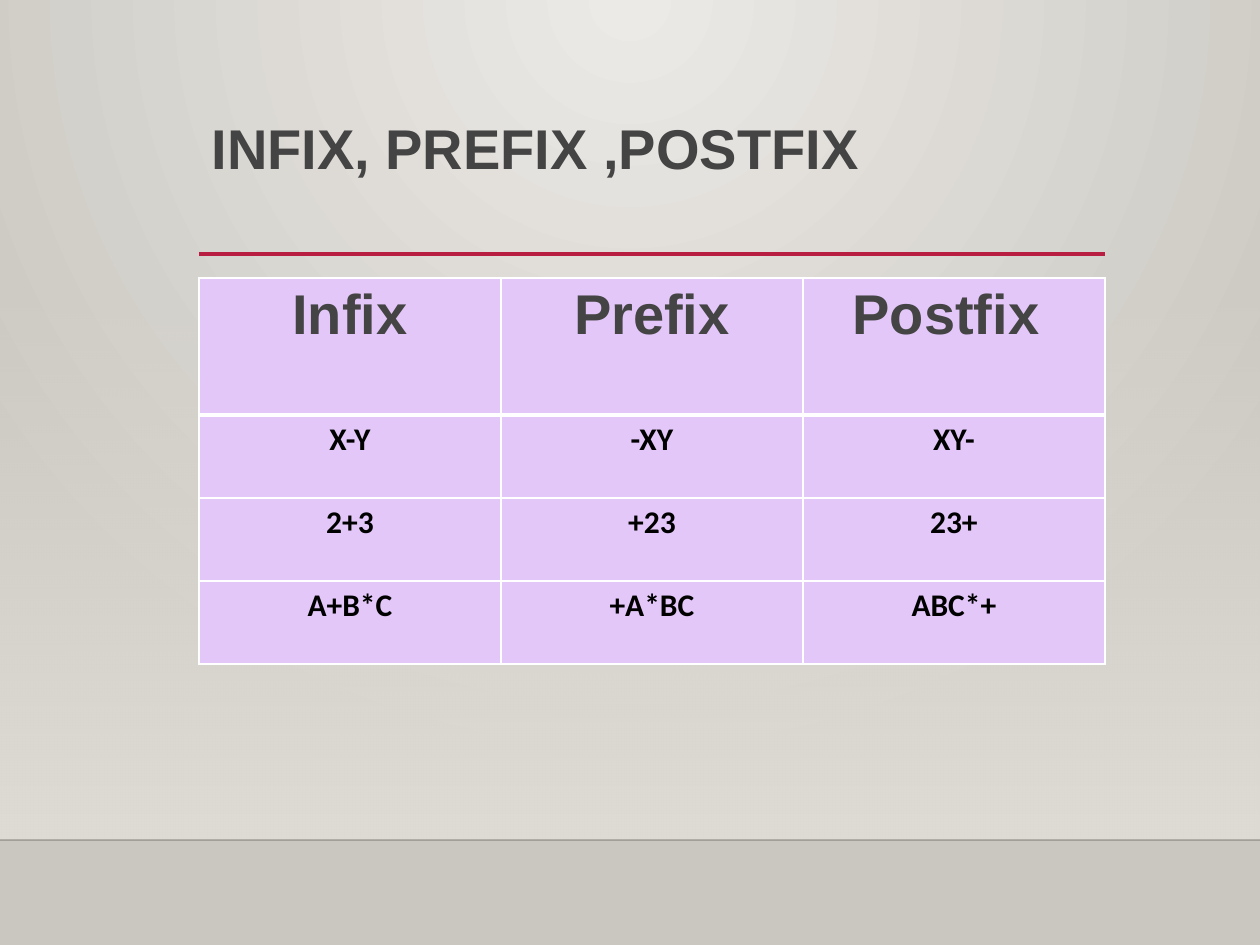
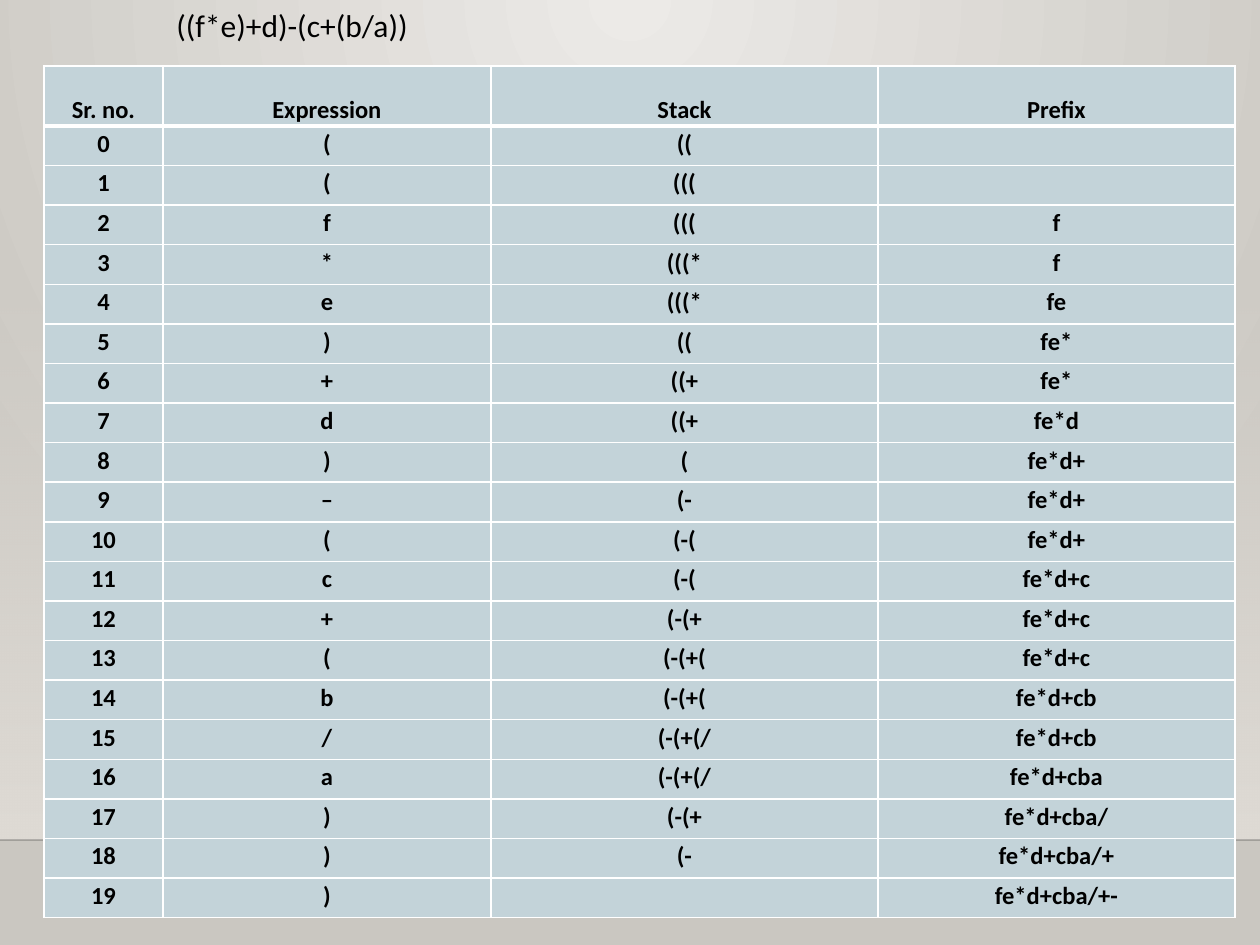
import pptx
import pptx.dml.color
import pptx.enum.shapes
import pptx.enum.text
import pptx.oxml.ns
import pptx.util
from lxml import etree

COLORS = {
    "glow": "ECEAE7", "edge": "CAC7C1", "wall": "DFDBD5", "floor": "000001",
    "rule": "B71E42", "title": "444444", "text": "000000", "border": "FFFFFF",
    "lilac": "E4C7F9", "blue": "C3D3D9",
}
SCALE = 914400 / 126
ALIGN = pptx.enum.text.PP_ALIGN
ANCHOR = pptx.enum.text.MSO_ANCHOR
qn = pptx.oxml.ns.qn


def px(value):
    return pptx.util.Emu(round(value * SCALE))


def rgb(name):
    return pptx.dml.color.RGBColor.from_string(COLORS[name])


def set_alpha(element, percent):
    color = element.find(".//" + qn("a:srgbClr"))
    etree.SubElement(color, qn("a:alpha")).set("val", str(percent * 1000))


class Deck:
    def __init__(self):
        self.prs = pptx.Presentation()
        self.prs.slide_width, self.prs.slide_height = px(1260), px(945)
        self.master = self.prs.slide_master
        self.slide = None

    def new_slide(self, layout):
        self.slide = self.prs.slides.add_slide(self.prs.slide_layouts[layout])

    def gradient(self, fill, parent, first, last):
        fill.gradient()
        for stop, position, name in zip(fill.gradient_stops, (0, 1), (first, last)):
            stop.position = position
            stop.color.rgb = rgb(name)
        return parent.find(".//" + qn("a:gradFill"))

    def background(self):
        grad = self.gradient(self.master.background.fill, self.master._element, "glow", "edge")
        grad.remove(grad.find(qn("a:lin")))
        circle = etree.SubElement(grad, qn("a:path"))
        circle.set("path", "circle")
        focus = etree.SubElement(circle, qn("a:fillToRect"))
        for side, percent in zip("ltrb", (43, 0, 43, 100)):
            focus.set(side, str(percent * 1000))

    def wall(self, x, y, w, h):
        sp = self.slide.shapes.add_shape(
            pptx.enum.shapes.MSO_SHAPE.RECTANGLE, px(x), px(y), px(w), px(h))
        sp.shadow.inherit = False
        sp.line.fill.background()
        grad = self.gradient(sp.fill, sp._element, "wall", "wall")
        grad.find(qn("a:lin")).set("ang", "5400000")
        set_alpha(grad, 0)
        return sp

    def line(self, x1, x2, y, color, width, alpha=100):
        cx = self.slide.shapes.add_connector(
            pptx.enum.shapes.MSO_CONNECTOR.STRAIGHT, px(x1), px(y), px(x2), px(y))
        cx.line.color.rgb = rgb(color)
        cx.line.width = pptx.util.Pt(width)
        if alpha < 100:
            set_alpha(cx._element, alpha)
        etree.SubElement(cx._element.spPr, qn("a:effectLst"))
        return cx

    def move_to_master(self, shapes):
        for index, sp in enumerate(shapes):
            sp._element.xpath(".//p:cNvPr")[0].set("id", str(100 + index))
            self.master.shapes._spTree.insert(2 + index, sp._element)

    def format_text(self, p, size, font, color, bold):
        for r in p.runs:
            r.font.size = pptx.util.Pt(size)
            r.font.name = font
            r.font.bold = bold
            r.font.color.rgb = rgb(color)

    def title(self, text, x, y, w, h):
        sp = self.slide.shapes.title
        sp.left, sp.top, sp.width, sp.height = px(x), px(y), px(w), px(h)
        tf = sp.text_frame
        tf.text = text
        tf.vertical_anchor = ANCHOR.TOP
        tf.margin_top = px(10)
        p = tf.paragraphs[0]
        p.alignment = ALIGN.LEFT
        p.line_spacing = 0.9
        self.format_text(p, 32, "Arial", "title", True)

    def text(self, text, x, y, w, h):
        tf = self.slide.shapes.add_textbox(px(x), px(y), px(w), px(h)).text_frame
        tf.word_wrap = True
        tf.auto_size = pptx.enum.text.MSO_AUTO_SIZE.SHAPE_TO_FIT_TEXT
        tf.text = text
        self.format_text(tf.paragraphs[0], 18, "Calibri", "text", False)

    def borders(self, cell, top, bottom):
        tcPr = cell._tc.get_or_add_tcPr()
        for index, (side, width) in enumerate(zip("LRTB", (1, 1, top, bottom))):
            ln = etree.Element(qn("a:ln" + side), w=str(pptx.util.Pt(width)))
            fill = etree.SubElement(ln, qn("a:solidFill"))
            etree.SubElement(fill, qn("a:srgbClr")).set("val", COLORS["border"])
            tcPr.insert(index, ln)

    def table(self, rows, x, y, widths, header_height, row_height, fill, head, body,
              margins, head_anchor=ANCHOR.TOP, spacing=None, after=None):
        height = header_height + row_height * (len(rows) - 1)
        table = self.slide.shapes.add_table(
            len(rows), len(widths), px(x), px(y), px(sum(widths)), px(height)).table
        table.first_row = table.horz_banding = False
        for column, width in zip(table.columns, widths):
            column.width = px(width)
        for i, values in enumerate(rows):
            table.rows[i].height = px(row_height if i else header_height)
            size, font, color = body if i else head
            for j, value in enumerate(values):
                cell = table.cell(i, j)
                cell.fill.solid()
                cell.fill.fore_color.rgb = rgb(fill)
                self.borders(cell, 3 if i == 1 else 1, 1 if i else 3)
                cell.margin_left = cell.margin_right = px(margins[0])
                cell.margin_top = cell.margin_bottom = px(margins[1])
                cell.vertical_anchor = ANCHOR.TOP if i else head_anchor
                p = cell.text_frame.paragraphs[0]
                p.alignment = ALIGN.CENTER
                if spacing:
                    p.line_spacing = spacing
                    p.space_after = pptx.util.Pt(after)
                if value:
                    p.text = value
                    self.format_text(p, size, font, color, True)
                else:
                    etree.SubElement(p._p, qn("a:endParaRPr")).set("sz", str(size * 100))


NOTATIONS = [
    ("Infix", "Prefix", "Postfix\u00a0"),
    ("X-Y", "-XY", "XY-"),
    ("2+3", "+23", "23+"),
    ("A+B*C", "+A*BC", "ABC*+"),
]
STEPS = [
    ("(", "((", ""),
    ("(", "(((", ""),
    ("f", "(((", "f"),
    ("*", "(((*", "f"),
    ("e", "(((*", "fe"),
    (")", "((", "fe*"),
    ("+", "((+", "fe*"),
    ("d", "((+", "fe*d"),
    (")", "(", "fe*d+"),
    ("–", "(-", "fe*d+"),
    ("(", "(-(", "fe*d+"),
    ("c", "(-(", "fe*d+c"),
    ("+", "(-(+", "fe*d+c"),
    ("(", "(-(+(", "fe*d+c"),
    ("b", "(-(+(", "fe*d+cb"),
    ("/", "(-(+(/", "fe*d+cb"),
    ("a", "(-(+(/", "fe*d+cba"),
    (")", "(-(+", "fe*d+cba/"),
    (")", "(-", "fe*d+cba/+"),
    (")", "", "fe*d+cba/+-"),
]

deck = Deck()
deck.background()

deck.new_slide(5)
deck.move_to_master([
    deck.wall(0, 277, 1260, 563),
    deck.line(0, 1260, 840, "floor", 1, alpha=20),
    deck.line(199, 1105, 254, "rule", 2.5),
])
deck.title("INFIX, PREFIX ,POSTFIX", 199, 111, 906, 144)
deck.table(NOTATIONS, 199, 278, [302] * 3, 137, 83, "lilac",
           head=(32, "Arial", "title"), body=(18, "Calibri", "text"), margins=(10, 6))

deck.new_slide(6)
trace = [("Sr. no.", "Expression", "Stack", "Prefix")]
trace += [(str(number), *step) for number, step in enumerate(STEPS)]
deck.table(trace, 44, 66, [119, 328, 387, 357], 60, 792 / len(STEPS), "blue",
           head=(14, "Calibri", "text"), body=(14, "Calibri", "text"), margins=(1, 1),
           head_anchor=ANCHOR.BOTTOM, spacing=1.07, after=8)
deck.text("((f*e)+d)-(c+(b/a))", 164, 0, 631, 50)

deck.prs.save("out.pptx")
